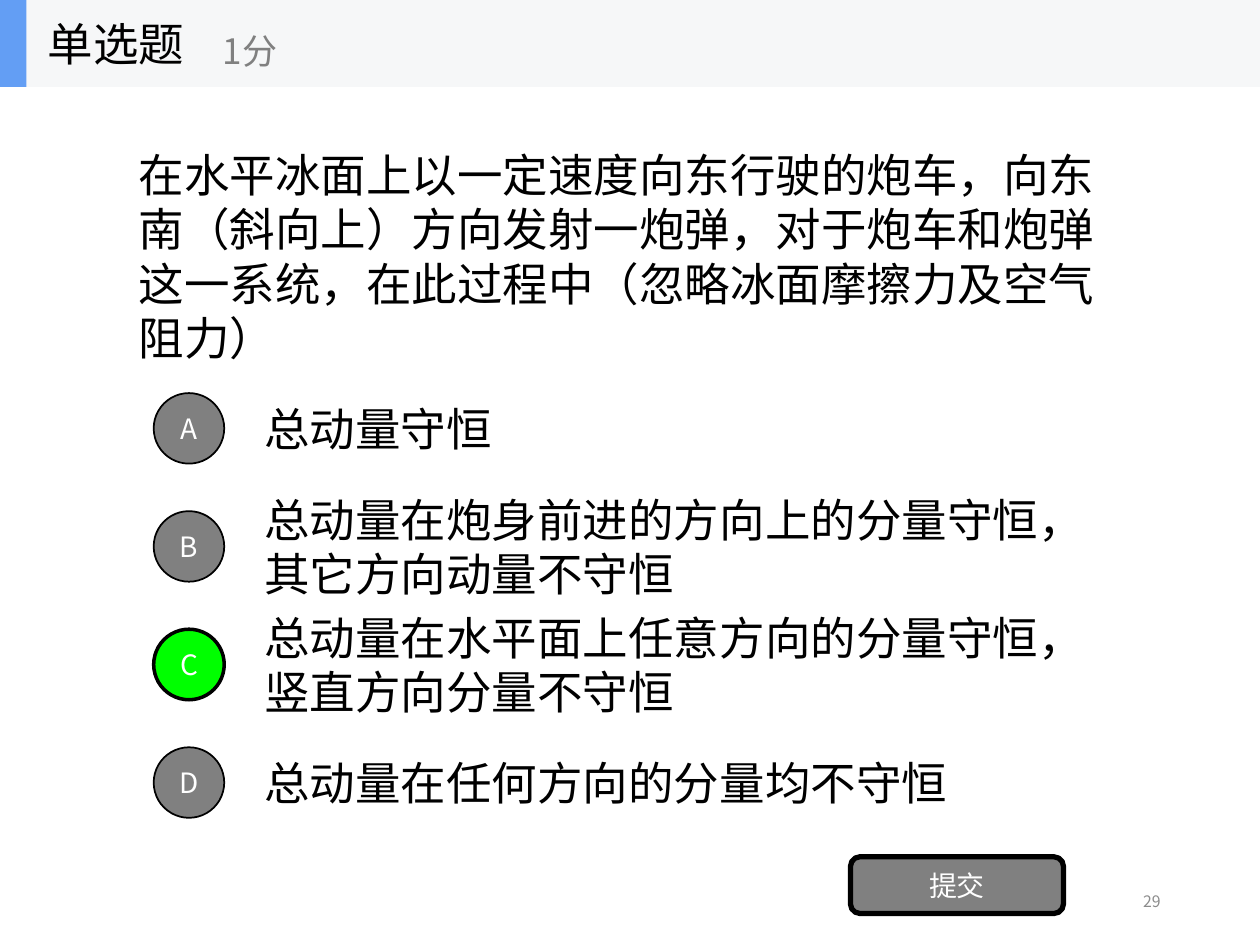
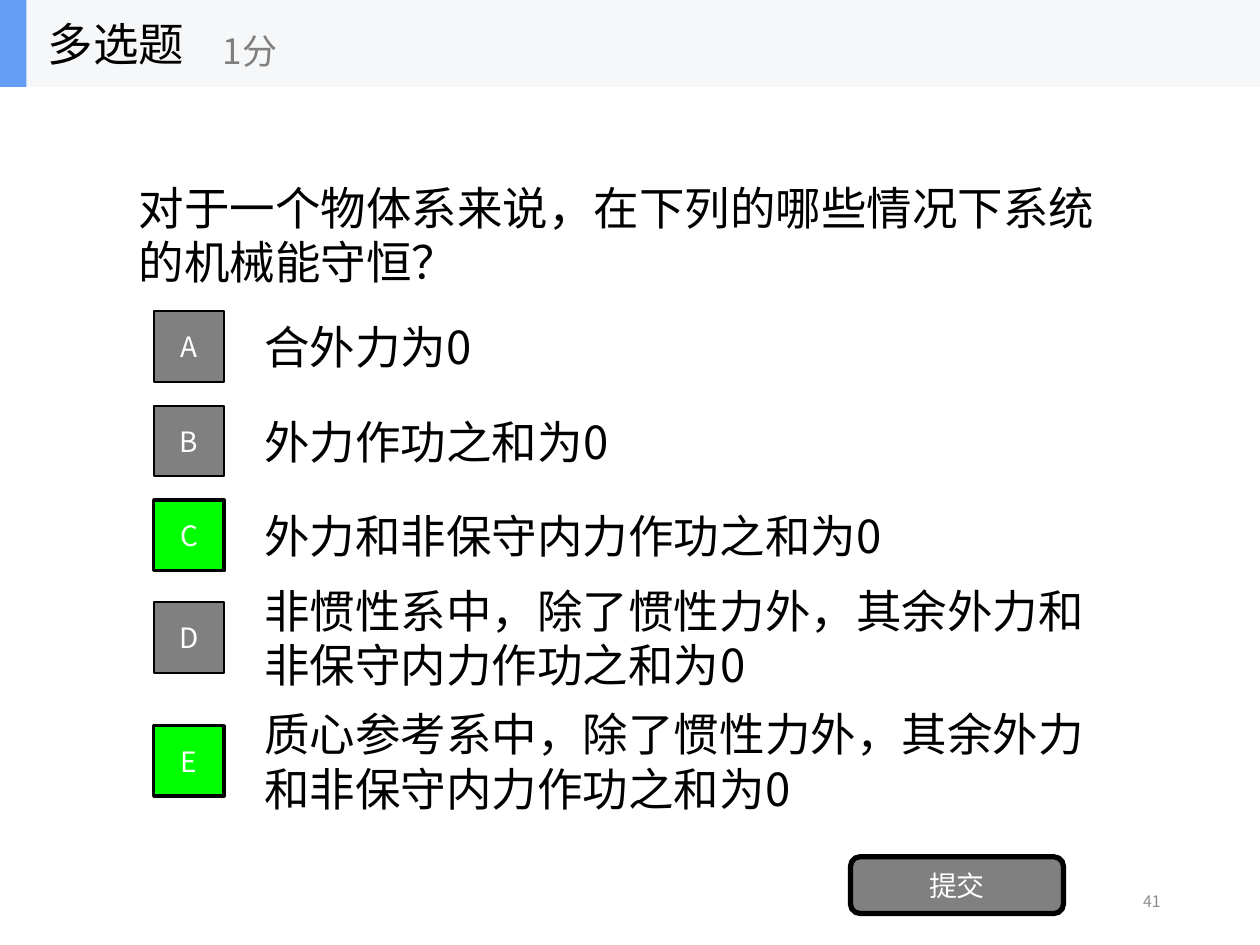
import pptx
import pptx.util
import pptx.dml.color
import pptx.enum.shapes
import pptx.enum.text
import pptx.oxml.ns
import lxml.etree

FONT = "Noto Sans CJK SC"
BLACK, WHITE, GREY, GREEN = "000000", "FFFFFF", "808080", "00FF00"
BAND, ACCENT, PALE = "F6F7F8", "639EF4", "8C8C8C"
SHAPE = pptx.enum.shapes.MSO_SHAPE
ALIGN = pptx.enum.text.PP_ALIGN
COLUMNS, ROWS = 100, 75
BAND_H, MARK, OPTION_H = 6.9, 5.6, 7


def color(hex_text):
    return pptx.dml.color.RGBColor.from_string(hex_text)


class Quiz:
    """Style and current slide of a quiz, measured on a grid of 100 columns by 75 rows."""

    def __init__(self, prs):
        self.prs = prs
        self.s = None

    def box(self, x, y, w, h):
        col, row = self.prs.slide_width / COLUMNS, self.prs.slide_height / ROWS
        return [round(v) for v in (x * col, y * row, w * col, h * row)]

    def set_text(self, sp, text, size, fill, align=ALIGN.LEFT):
        tf = sp.text_frame
        tf.text = text
        tf.word_wrap = True
        tf.auto_size = pptx.enum.text.MSO_AUTO_SIZE.NONE
        tf.vertical_anchor = pptx.enum.text.MSO_ANCHOR.MIDDLE
        p = tf.paragraphs[0]
        p.alignment = align
        p.space_before = pptx.util.Pt(0)
        r = p.runs[0]
        r.font.size = pptx.util.Pt(size)
        r.font.name = FONT
        r.font.color.rgb = color(fill)
        ea = lxml.etree.SubElement(r.font._element, pptx.oxml.ns.qn("a:ea"))
        ea.set("typeface", FONT)
        return p

    def text(self, at, text, size=26, fill=BLACK, align=ALIGN.LEFT):
        self.set_text(self.s.shapes.add_textbox(*self.box(*at)), text, size, fill, align)

    def placeholder(self, sp, at, text):
        sp.left, sp.top, sp.width, sp.height = self.box(*at)
        return self.set_text(sp, text, 26, BLACK)

    def shape(self, kind, at, fill, line=0):
        sp = self.s.shapes.add_shape(kind, *self.box(*at))
        sp.shadow.inherit = False
        sp.fill.solid()
        sp.fill.fore_color.rgb = color(fill)
        if line:
            sp.line.color.rgb = color(BLACK)
            sp.line.width = pptx.util.Pt(line)
        else:
            sp.line.fill.background()
        return sp

    def label(self, kind, at, text, fill, line):
        sp = self.shape(kind, at, fill, line)
        tf = sp.text_frame
        tf.margin_left = tf.margin_right = tf.margin_top = tf.margin_bottom = 0
        self.set_text(sp, text, 16, WHITE, ALIGN.CENTER)

    def header(self, title, points):
        bars = [self.shape(SHAPE.RECTANGLE, (0, 0, w, BAND_H), fill)
                for w, fill in ((COLUMNS, BAND), (2.1, ACCENT))]
        for i, sp in enumerate(bars):
            self.s.shapes._spTree.insert(2 + i, sp._element)
        self.placeholder(self.s.shapes.title, (2.8, 0, 20.8, BAND_H), title)
        self.text((16.7, 1.2, 25, 5.6), points, 20, GREY)

    def question(self, top, text):
        p = self.placeholder(self.s.placeholders[1], (10, top, 80, 23.4), text)
        pPr = p._p.get_or_add_pPr()
        pPr.set("marL", "0")
        pPr.set("indent", "0")
        lxml.etree.SubElement(pPr, pptx.oxml.ns.qn("a:buNone"))

    def option(self, kind, top, letter, text, correct):
        self.text((20, top, 70, OPTION_H), text)
        mark_at = (12.2, top + (OPTION_H - MARK) / 2, MARK, MARK)
        fill, line = (GREEN, 2) if correct else (GREY, 1)
        self.label(kind, mark_at, letter, fill, line)

    def slide(self, title, top, question, kind, options, answers, number):
        self.s = self.prs.slides.add_slide(self.prs.slide_layouts[1])
        self.header(title, "1分")
        self.question(top, question)
        for letter, (y, text) in zip("ABCDE", options):
            self.option(kind, y, letter, text, letter in answers)
        self.label(SHAPE.ROUNDED_RECTANGLE, (67.5, 68, 16.9, 4.5), "提交", GREY, 3)
        self.text((70.6, 69.5, 22.5, 4), number, 9, PALE, ALIGN.RIGHT)


def main():
    prs = pptx.Presentation()
    prs.slide_width = pptx.util.Inches(10)
    prs.slide_height = pptx.util.Inches(7.5)
    quiz = Quiz(prs)
    momentum = ["总动量守恒",
                "总动量在炮身前进的方向上的分量守恒，其它方向动量不守恒",
                "总动量在水平面上任意方向的分量守恒，竖直方向分量不守恒",
                "总动量在任何方向的分量均不守恒"]
    quiz.slide("单选题", 8.6,
               "在水平冰面上以一定速度向东行驶的炮车，向东南（斜向上）方向发射一炮弹，"
               "对于炮车和炮弹这一系统，在此过程中（忽略冰面摩擦力及空气阻力）",
               SHAPE.OVAL,
               [(30.5 + 9.37 * i, text) for i, text in enumerate(momentum)],
               "C", "29")
    energy = [(24, "合外力为0"),
              (31.5, "外力作功之和为0"),
              (39, "外力和非保守内力作功之和为0"),
              (47.1, "非惯性系中，除了惯性力外，其余外力和非保守内力作功之和为0"),
              (56.9, "质心参考系中，除了惯性力外，其余外力和非保守内力作功之和为0")]
    quiz.slide("多选题", 6.9,
               "对于一个物体系来说，在下列的哪些情况下系统的机械能守恒？",
               SHAPE.RECTANGLE, energy, "CE", "41")
    prs.save("out.pptx")


if __name__ == "__main__":
    main()
